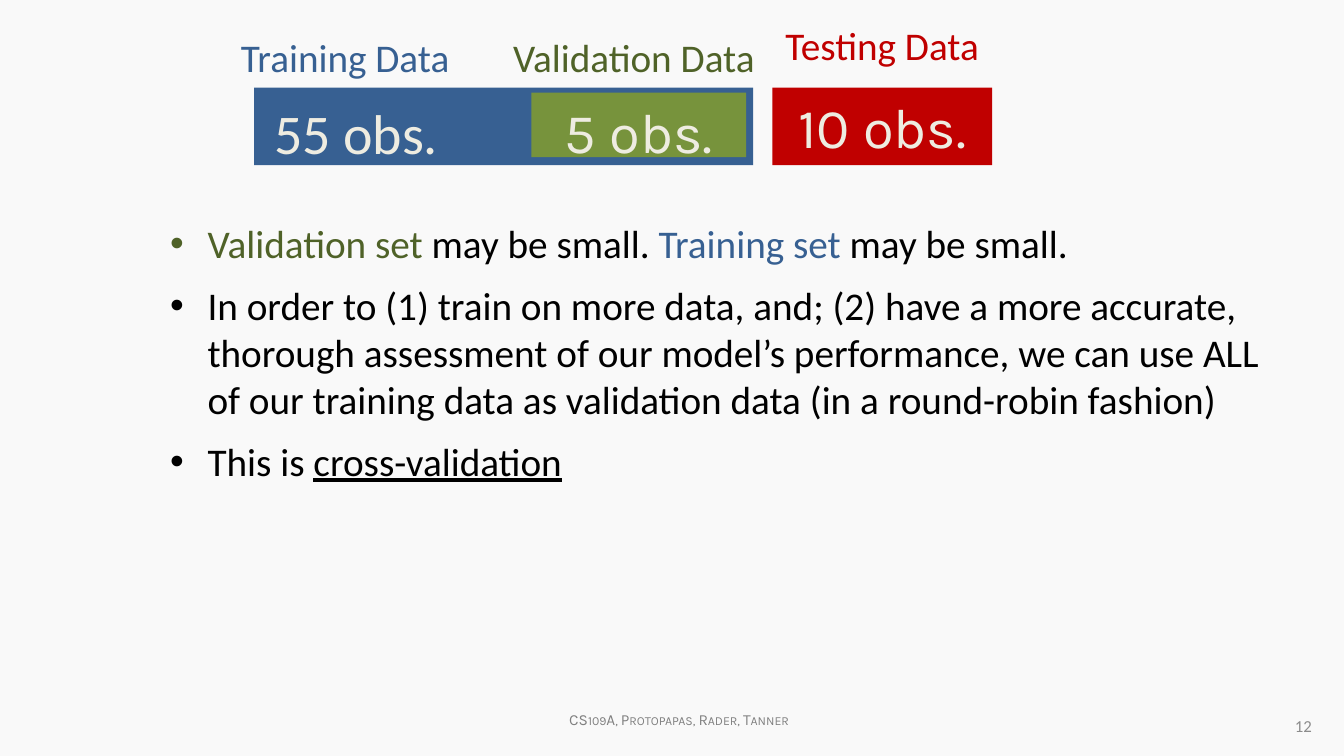
from pptx import Presentation, util as u
from pptx.dml.color import RGBColor
from pptx.enum import shapes, text
from pptx.oxml.ns import qn
from lxml import etree

PX = 9144  # EMU, 100 px to the inch
BLUE, GREEN, OLIVE, RED = "376092", "77933C", "4F6228", "C00000"
CREAM, BLACK = "EEECE1", "000000"
CENTER, RIGHT = text.PP_ALIGN.CENTER, text.PP_ALIGN.RIGHT
BAR_TOP, BAR_HEIGHT = 87, 77


def rgb(value):
    return RGBColor.from_string(value)


def emu(box):
    return [n * PX for n in box]


def add_run(p, words, color, size=28, **formats):
    r = p.add_run()
    r.text = words
    r.font.color.rgb = rgb(color)
    for name, value in {"name": "Calibri", "size": u.Pt(size), **formats}.items():
        setattr(r.font, name, value)
    return r


def add_label(s, box, words, color, size=28, align=None, wrap=True,
              anchor=text.MSO_ANCHOR.TOP, **formats):
    tf = s.shapes.add_textbox(*emu(box)).text_frame
    tf.word_wrap = wrap
    tf.vertical_anchor = anchor
    p = tf.paragraphs[0]
    p.alignment = align
    return add_run(p, words, color, size, **formats)


def add_block(s, box, fill, words=""):
    sp = s.shapes.add_shape(shapes.MSO_SHAPE.RECTANGLE, *emu(box))
    sp.shadow.inherit = False
    sp.fill.solid()
    sp.fill.fore_color.rgb = rgb(fill)
    sp.line.fill.background()
    if words:
        tf = sp.text_frame
        tf.vertical_anchor = text.MSO_ANCHOR.TOP
        p = tf.paragraphs[0]
        p.alignment = CENTER
        add_run(p, words, CREAM, 40, name="Karla")


def add_bullets(s, box, items):
    """Each item is a list of (words, color, formats) runs."""
    tf = s.shapes.add_textbox(*emu(box)).text_frame
    tf.word_wrap = True
    for i, runs in enumerate(items):
        p = tf.paragraphs[0] if i == 0 else tf.add_paragraph()
        p.space_after = u.Pt(10.4)
        pPr = p._p.get_or_add_pPr()
        pPr.set("marL", str(37 * PX))
        pPr.set("indent", str(-37 * PX))
        etree.SubElement(pPr, qn("a:buFont"), typeface="Arial")
        etree.SubElement(pPr, qn("a:buChar"), char="•")
        for words, color, formats in runs:
            add_run(p, words, color, **formats)


def main():
    prs = Presentation()
    prs.slide_width, prs.slide_height = emu((1333, 750))
    s = prs.slides.add_slide(prs.slide_layouts[6])
    s.background.fill.solid()
    s.background.fill.fore_color.rgb = rgb("F9F9F9")

    footer = add_label(s, (554, 700, 239, 29), "CS109A, Protopapas, Rader, Tanner",
                       "808080", 11, CENTER, wrap=False, name="Karla")
    footer.font._element.set("cap", "small")
    add_label(s, (1000, 700, 311, 40), "12", "8C8C8C", 12, RIGHT,
              anchor=text.MSO_ANCHOR.MIDDLE)

    add_block(s, (252, BAR_TOP, 495, BAR_HEIGHT), BLUE)
    add_block(s, (766, BAR_TOP, 218, BAR_HEIGHT), RED, "10 obs.")
    add_label(s, (262, 93, 219, 77), "55 obs.", CREAM, 40)
    add_block(s, (527, 92, 213, 64), GREEN, "5 obs.")

    for left, top, width, words, color in (
            (229, 28, 247, "Training Data", BLUE),
            (769, 16, 231, "Testing Data", RED),
            (499, 28, 266, "Validation Data", OLIVE)):
        add_label(s, (left, top, width, 60), words, color)

    add_bullets(s, (159, 213, 1124, 139), [
        [("Validation set ", OLIVE, {}), ("may be small. ", BLACK, {}),
         ("Training set", BLUE, {}), (" may be small.", BLACK, {})],
        [("In order to (1) train on more data, and; (2) have a more accurate, "
          "thorough assessment of our model’s performance, we can use ALL of our "
          "training data as validation data (in a round-robin fashion)", BLACK, {})],
        [("This is ", BLACK, {}), ("cross-validation", BLACK, {"underline": True})],
    ])
    prs.save("out.pptx")


if __name__ == "__main__":
    main()
